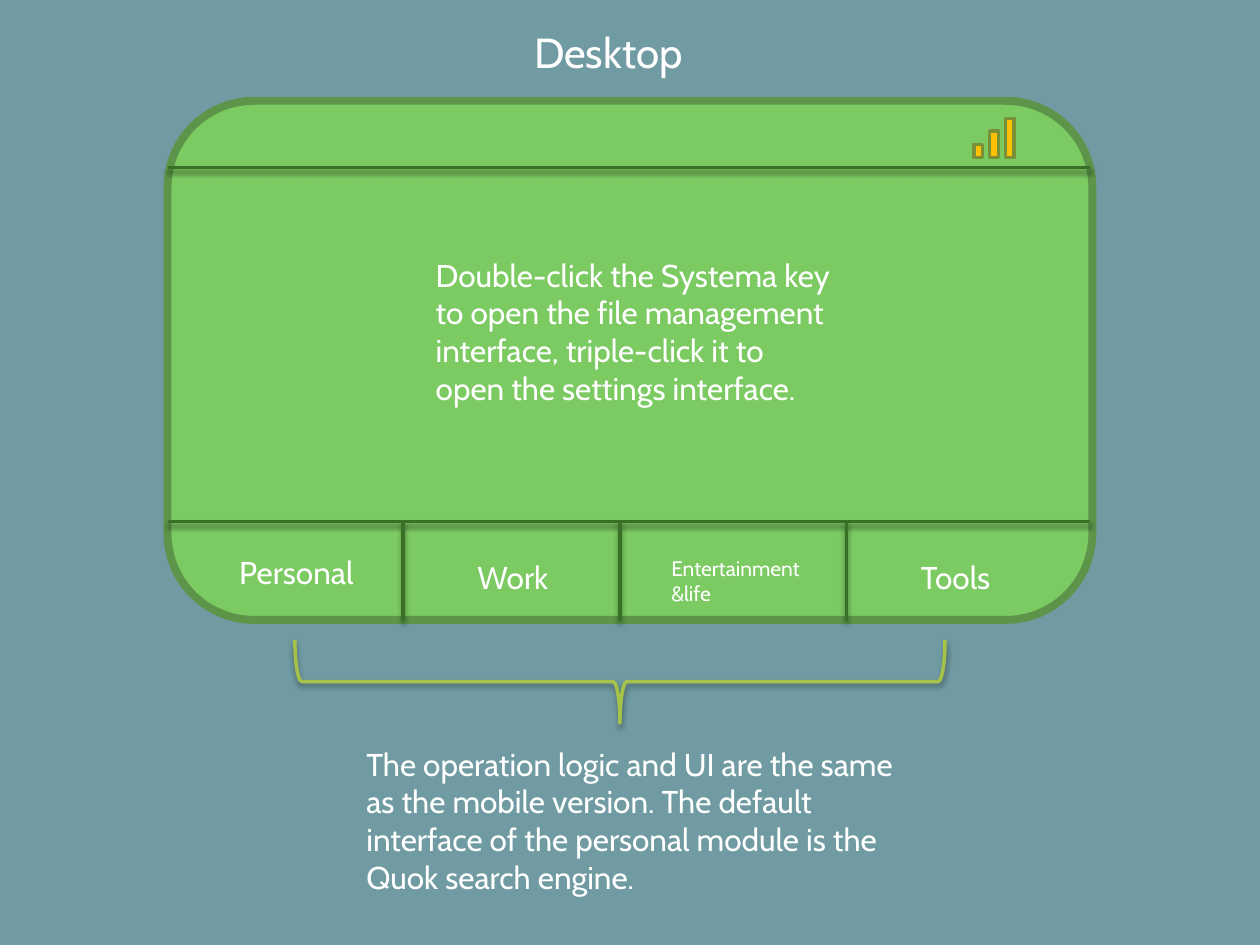
from collections import namedtuple

from lxml import etree
from pptx import Presentation
from pptx import util as u
from pptx.dml.color import RGBColor
from pptx.enum import shapes, text
from pptx.oxml import ns

BACKDROP = RGBColor(0x70, 0x9B, 0xA2)
SCREEN = RGBColor(0x7C, 0xCA, 0x62)
FRAME = RGBColor(0x5C, 0x95, 0x49)
DIVIDER = RGBColor(0x38, 0x70, 0x26)
SIGNAL = RGBColor(0xFF, 0xC0, 0x00)
SIGNAL_EDGE = RGBColor(0x7A, 0x90, 0x36)
BRACE = RGBColor(0xA5, 0xC2, 0x49)
WHITE = RGBColor(0xFF, 0xFF, 0xFF)
FONT = "Cabin"

# The page is a grid of 100 columns by 75 rows; boxes are given in grid cells.
COLUMNS, ROWS = 100, 75
CELL = u.Inches(10) // COLUMNS
Box = namedtuple("Box", "left top width height")


def cells(*counts):
    return [round(count * CELL) for count in counts]


def add_shadow(item):
    """Soft shadow straight below; call after the line is formatted."""
    effects = etree.SubElement(item._element.spPr, ns.qn("a:effectLst"))
    shadow = etree.SubElement(
        effects, ns.qn("a:outerShdw"), blurRad=str(u.Pt(3.1)),
        dist=str(u.Pt(1.6)), dir="5400000", rotWithShape="0")
    color = etree.SubElement(shadow, ns.qn("a:srgbClr"), val="000000")
    etree.SubElement(color, ns.qn("a:alpha"), val="38000")


def add_outline(item, color, points):
    item.line.color.rgb = color
    item.line.width = u.Pt(points)


def add_block(page, kind, box, fill, edge, points):
    block = page.shapes.add_shape(kind, *cells(*box))
    if fill is None:
        block.fill.background()
    else:
        block.fill.solid()
        block.fill.fore_color.rgb = fill
    add_outline(block, edge, points)
    return block


def add_divider(page, x1, y1, x2, y2):
    line = page.shapes.add_connector(
        shapes.MSO_CONNECTOR.STRAIGHT, *cells(x1, y1, x2, y2))
    add_outline(line, DIVIDER, 2)
    add_shadow(line)


def write(frame, wording, size):
    frame.word_wrap = True
    frame.vertical_anchor = text.MSO_ANCHOR.TOP
    frame.text = wording
    para = frame.paragraphs[0]
    para.alignment = text.PP_ALIGN.LEFT
    para.font.name = FONT
    para.font.size = u.Pt(size)
    para.font.color.rgb = WHITE


def add_label(page, box, wording, size=18):
    write(page.shapes.add_textbox(*cells(*box)).text_frame, wording, size)


def add_title(page, box):
    title = page.shapes.title
    title.left, title.top, title.width, title.height = cells(*box)
    write(title.text_frame, "Desktop", 24)


def add_signal(page, box):
    """Three bars rising to the right on a common base."""
    bar_width = 0.7
    step = (box.width - bar_width) / 2
    for index, share in enumerate((0.33, 0.67, 1)):
        height = box.height * share
        bar = Box(box.left + index * step, box.top + box.height - height,
                  bar_width, height)
        add_block(page, shapes.MSO_SHAPE.RECTANGLE, bar,
                  SIGNAL, SIGNAL_EDGE, 2).shadow.inherit = False


def add_screen(page, box):
    screen = add_block(page, shapes.MSO_SHAPE.ROUNDED_RECTANGLE, box,
                       SCREEN, FRAME, 4.5)
    screen.shadow.inherit = False
    right, bottom = box.left + box.width, box.top + box.height

    # Status bar and message
    add_divider(page, box.left, box.top + 5.3, right - 0.2, box.top + 5.3)
    add_signal(page, Box(right - 9.4, box.top + 1.4, 3.2, 3.1))
    add_label(page, Box(box.left + 20.3, box.top + 11.8, 34, 16.2),
              "Double-click the Systema key to open the file management "
              "interface, triple-click it to open the settings interface.")

    # Module bar
    bar_top = bottom - 7.8
    add_divider(page, box.left, bar_top, right - 0.2, bar_top)
    for offset in (18.7, 35.9, 53.9):
        add_divider(page, box.left + offset, bar_top,
                    box.left + offset, bottom + 0.1)
    for offset, drop, width, name, size in (
            (4.7, 2, 14.8, "Personal", 18),
            (23.6, 2.4, 9.2, "Work", 18),
            (39, 2.2, 13.3, "Entertainment &life", 12),
            (58.8, 2.4, 9.2, "Tools", 18)):
        add_label(page, Box(box.left + offset, bar_top + drop, width, 4),
                  name, size)


def add_note(page, box):
    """A brace pointing down to the explanation below it."""
    span, depth = 51.6, 6.6
    center_x, center_y = box.left + 21.1, box.top + depth / 2
    upright = Box(center_x - depth / 2, center_y - span / 2, depth, span)
    brace = add_block(page, shapes.MSO_SHAPE.RIGHT_BRACE, upright,
                      None, BRACE, 2)
    brace.rotation = 90
    add_shadow(brace)
    add_label(page, Box(box.left, box.top + 7.8, box.width, box.height - 7.8),
              "The operation logic and UI are the same as the mobile version. "
              "The default interface of the personal module is the "
              "Quok search engine.")


def main():
    deck = Presentation()
    deck.slide_width, deck.slide_height = cells(COLUMNS, ROWS)
    page = deck.slides.add_slide(deck.slide_layouts[5])
    page.background.fill.solid()
    page.background.fill.fore_color.rgb = BACKDROP

    add_title(page, Box(41.4, 1.6, 17.2, 5))
    add_screen(page, Box(13.3, 8, 73.4, 41.2))
    add_note(page, Box(28.1, 50.8, 44, 20.9))
    deck.save("out.pptx")


if __name__ == "__main__":
    main()
